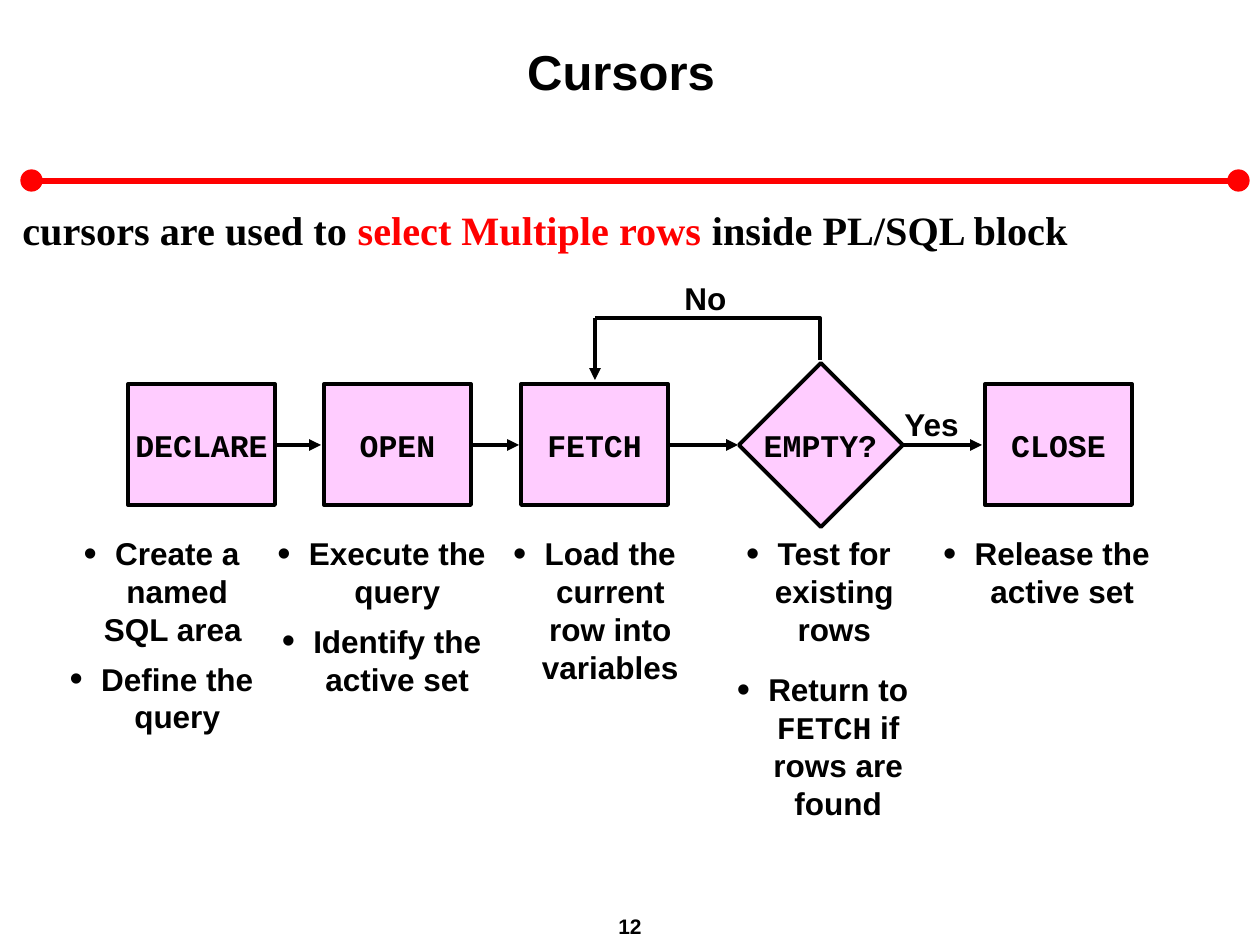
import pptx
import pptx.util
import pptx.dml.color
import pptx.enum.shapes
import pptx.enum.text
import pptx.oxml.ns
from lxml import etree

PX = 914400 / 126
COLORS = {"ink": "000000", "red": "FF0000", "box": "FFCCFF"}
SHAPES = pptx.enum.shapes.MSO_SHAPE
ALIGN = pptx.enum.text.PP_ALIGN
ANCHOR = pptx.enum.text.MSO_ANCHOR
MID_Y = 445
BULLET_Y = 528


def px(*values):
    """Turn pixel lengths into EMU."""
    return [round(v * PX) for v in values]


def rgb(name):
    """Look up a named colour."""
    return pptx.dml.color.RGBColor.from_string(COLORS[name])


def add_child(parent, tag, **attrs):
    """Append a DrawingML element."""
    return etree.SubElement(parent, pptx.oxml.ns.qn("a:" + tag), attrs)


def set_bullet(p):
    """Give a paragraph a round bullet with a hanging indent."""
    pPr = p._p.get_or_add_pPr()
    pPr.set("marL", "228600")
    pPr.set("indent", "-228600")
    add_child(add_child(pPr, "buClr"), "srgbClr", val=COLORS["ink"])
    add_child(pPr, "buSzPct", val="120000")
    add_child(pPr, "buFont", typeface="Arial")
    add_child(pPr, "buChar", char="•")


def write(s, *paragraphs, font="Arial", size=18, align=ALIGN.CENTER,
          anchor=ANCHOR.TOP, wrap=True, bullet=False):
    """Fill a shape with paragraphs, each a string or (text, format) runs."""
    tf = s.text_frame
    tf.word_wrap = wrap
    tf.vertical_anchor = anchor
    tf.auto_size = pptx.enum.text.MSO_AUTO_SIZE.NONE
    for i, runs in enumerate(paragraphs):
        p = tf.add_paragraph() if i else tf.paragraphs[0]
        p.alignment = align
        if bullet:
            p.space_before = pptx.util.Pt(6.8)
            set_bullet(p)
        for text, style in [(runs, {})] if isinstance(runs, str) else runs:
            r = p.add_run()
            r.text = text
            r.font.name = style.get("font", font)
            r.font.size = pptx.util.Pt(size)
            r.font.bold = True
            r.font.color.rgb = rgb(style.get("color", "ink"))


def add_text(slide, x, y, w, h, *paragraphs, **style):
    """Add a text box."""
    write(slide.shapes.add_textbox(*px(x, y, w, h)), *paragraphs, **style)


def add_shape(slide, kind, x, y, w, h, fill="box", line="ink", width=2.25):
    """Add a filled and outlined preset shape."""
    s = slide.shapes.add_shape(kind, *px(x, y, w, h))
    s.shadow.inherit = False
    s.fill.solid()
    s.fill.fore_color.rgb = rgb(fill)
    s.line.color.rgb = rgb(line)
    s.line.width = pptx.util.Pt(width)
    return s


def add_line(slide, x1, y1, x2, y2, color="ink", width=2.25, arrow=True):
    """Add a straight line, with an arrowhead at its end if wanted."""
    s = slide.shapes.add_connector(
        pptx.enum.shapes.MSO_CONNECTOR.STRAIGHT, *px(x1, y1, x2, y2))
    s.line.color.rgb = rgb(color)
    s.line.width = pptx.util.Pt(width)
    if arrow:
        add_child(s.line._get_or_add_ln(), "tailEnd", type="triangle")
    add_child(s._element.spPr, "effectLst")


def add_header(slide):
    """Add the title, the red rule with its end dots and the lead sentence."""
    title = slide.shapes.title
    title.left, title.top, title.width, title.height = px(111, 35, 1020, 121)
    write(title, "Cursors", size=28)
    add_line(slide, 1228, 181, 42, 181, color="red", width=3, arrow=False)
    for x in (21, 1228):
        add_shape(slide, SHAPES.OVAL, x, 170, 21, 21, "red", "red", 0.75)
    add_text(slide, 10, 199, 1228, 62,
             [("cursors are used to ", {}),
              ("select Multiple rows ", {"color": "red"}),
              ("inside PL/SQL block", {})],
             font="Times New Roman", size=23, align=ALIGN.LEFT)


def add_flow(slide):
    """Add the steps, the decision diamond and the arrows between them."""
    for x1, x2 in ((256, 321), (456, 519), (654, 738), (898, 982)):
        add_line(slide, x1, MID_Y, x2, MID_Y)
    for x, name in ((128, "DECLARE"), (324, "OPEN"), (521, "FETCH"),
                    (985, "CLOSE")):
        s = add_shape(slide, SHAPES.RECTANGLE, x, 384, 147, 121)
        write(s, name, font="Courier New", anchor=ANCHOR.MIDDLE, wrap=False)
    add_shape(slide, SHAPES.RECTANGLE, 763, 387, 116, 116).rotation = 315
    add_text(slide, 751, 420, 139, 50, "EMPTY?", font="Courier New", wrap=False)

    builder = slide.shapes.build_freeform(*px(820, 360), scale=1.0)
    builder.add_line_segments([px(820, 318), px(595, 318)], close=False)
    loop = builder.convert_to_shape()
    loop.shadow.inherit = False
    loop.fill.background()
    loop.line.color.rgb = rgb("ink")
    loop.line.width = pptx.util.Pt(2.25)
    add_line(slide, 595, 318, 595, 380)

    for x, y, w, label in ((672, 273, 68, "No"), (892, 399, 82, "Yes")):
        add_text(slide, x, y, w, 50, label, align=ALIGN.LEFT, wrap=False)


def add_notes_below(slide):
    """Add the bulleted explanation under each step."""
    for x, y, w, h, *items in (
        (55, BULLET_Y, 213, 218, "Create a named SQL area ", "Define the query"),
        (262, BULLET_Y, 239, 218, "Execute the query", "Identify the active set"),
        (496, BULLET_Y, 197, 179, "Load the current row into variables"),
        (703, BULLET_Y, 231, 154, "Test for existing rows"),
        (703, 664, 239, 197, [("Return to ", {}),
                              ("FETCH", {"font": "Courier New"}),
                              (" if rows are found", {})]),
        (927, BULLET_Y, 239, 101, "Release the active set"),
    ):
        add_text(slide, x, y, w, h, *items, bullet=True)


def main():
    """Build and save the slide."""
    prs = pptx.Presentation()
    prs.slide_width, prs.slide_height = px(1260, 945)
    slide = prs.slides.add_slide(prs.slide_layouts[5])
    add_header(slide)
    add_flow(slide)
    add_notes_below(slide)
    add_text(slide, 0, 907, 1260, 38, "12", size=12)
    prs.save("out.pptx")


if __name__ == "__main__":
    main()
